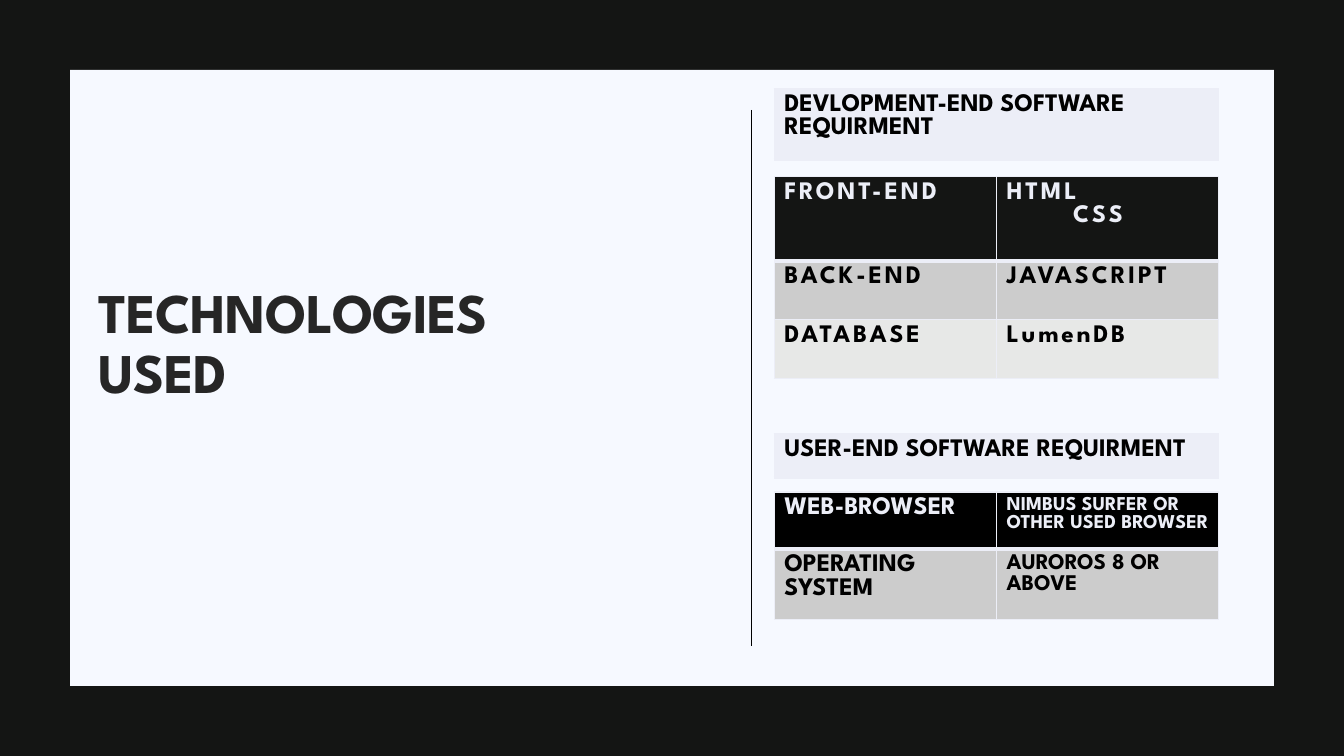
from pptx import Presentation
from pptx.dml.color import RGBColor
from pptx.enum.shapes import MSO_CONNECTOR as CONNECTOR, MSO_SHAPE as SHAPE
from pptx.enum.text import MSO_ANCHOR as ANCHOR
from pptx.oxml.ns import qn
from pptx.util import Pt
from lxml.etree import SubElement, Element

FONT = "League Spartan"
COLORS = {"dark": "141514", "panel": "F6F9FF", "pale": "ECEEF7", "title": "262626",
          "black": "000000", "gray": "CCCCCC", "light": "E7E8E7"}
TABLE_LEFT, TABLE_WIDTH = 553, 317.6


def color(name):
    return RGBColor.from_string(COLORS[name])


def add_rectangle(slide, left, top, width, height, fill):
    shape = slide.shapes.add_shape(SHAPE.RECTANGLE, Pt(left), Pt(top), Pt(width), Pt(height))
    shape.shadow.inherit = False
    shape.fill.solid()
    shape.fill.fore_color.rgb = color(fill)
    shape.line.fill.background()


def add_divider(slide, x, top, bottom):
    line = slide.shapes.add_connector(CONNECTOR.STRAIGHT, Pt(x), Pt(top), Pt(x), Pt(bottom))
    line.line.color.rgb = color("black")
    line.line.width = Pt(1)
    SubElement(line._element.spPr, qn("a:effectLst"))


def add_run(paragraph, text, size, text_color, spacing=0):
    run = paragraph.add_run()
    run.text = text
    run.font.name = FONT
    run.font.size = Pt(size)
    run.font.bold = True
    run.font.color.rgb = color(text_color)
    if spacing:
        run._r.get_or_add_rPr().set("spc", str(int(spacing * 100)))


def add_title(slide, lines):
    box = slide.shapes.add_textbox(Pt(63.4), Pt(99.4), Pt(442), Pt(294.5))
    frame = box.text_frame
    frame.word_wrap = True
    frame.vertical_anchor = ANCHOR.MIDDLE
    paragraph = frame.paragraphs[0]
    paragraph.line_spacing = 0.9
    for index, line in enumerate(lines):
        if index:
            paragraph.add_line_break()
        add_run(paragraph, line, 40, "title", -0.5)


def set_borders(cell, bottom_width):
    properties = cell._tc.get_or_add_tcPr()
    widths = {"a:lnL": 1, "a:lnR": 1, "a:lnT": 1, "a:lnB": bottom_width}
    for index, (tag, width) in enumerate(widths.items()):
        border = Element(qn(tag), w=str(Pt(width)))
        fill = SubElement(border, qn("a:solidFill"))
        SubElement(fill, qn("a:srgbClr"), val=COLORS["pale"])
        properties.insert(index, border)


def add_table(slide, top, heights, rows, spacing=0):
    """Each row is (fill, text colour, cells); each cell is (size, lines)."""
    columns = len(rows[0][2])
    table = slide.shapes.add_table(len(rows), columns, Pt(TABLE_LEFT), Pt(top),
                                   Pt(TABLE_WIDTH), Pt(sum(heights))).table
    table.first_row = False
    table.horz_banding = False
    for column in table.columns:
        column.width = Pt(TABLE_WIDTH / columns)
    for row_index, (fill, text_color, cells) in enumerate(rows):
        table.rows[row_index].height = Pt(heights[row_index])
        for column_index, (size, lines) in enumerate(cells):
            cell = table.cell(row_index, column_index)
            cell.fill.solid()
            cell.fill.fore_color.rgb = color(fill)
            set_borders(cell, 1 if row_index else 3)
            frame = cell.text_frame
            for line_index, (text, indent) in enumerate(lines):
                paragraph = frame.add_paragraph() if line_index else frame.paragraphs[0]
                if indent:
                    paragraph._p.get_or_add_pPr().set("marL", str(Pt(indent)))
                add_run(paragraph, text, size, text_color, spacing)


def entry(text, size=18):
    return size, [(text, 0)]


def main():
    presentation = Presentation()
    presentation.slide_width, presentation.slide_height = Pt(960), Pt(540)
    slide = presentation.slides.add_slide(presentation.slide_layouts[6])
    slide.background.fill.solid()
    slide.background.fill.fore_color.rgb = color("pale")

    # Frame, panel and divider
    add_rectangle(slide, 0, 0, 960, 540, "dark")
    add_rectangle(slide, 50, 50, 860, 440, "panel")
    add_divider(slide, 537, 78.5, 461.5)

    add_title(slide, ["TECHNOLOGIES", "USED"])

    # Development requirements
    add_table(slide, 63.4, [42.4],
              [("pale", "black", [entry("DEVLOPMENT-END SOFTWARE REQUIRMENT")])])
    add_table(slide, 126.2, [60, 42, 42], [
        ("dark", "pale", [entry("FRONT-END"), (18, [("HTML", 0), ("CSS", 47.5)])]),
        ("gray", "black", [entry("BACK-END"), entry("JAVASCRIPT")]),
        ("light", "black", [entry("DATABASE"), entry("LumenDB")]),
    ], spacing=2)

    # User requirements
    add_table(slide, 310, [31],
              [("pale", "black", [entry("USER-END SOFTWARE REQUIRMENT")])])
    add_table(slide, 351.4, [37.4, 44.6], [
        ("black", "pale", [entry("WEB-BROWSER"),
                           entry("NIMBUS SURFER OR OTHER USED BROWSER", 14)]),
        ("gray", "black", [entry("OPERATING SYSTEM"), entry("AUROROS 8 OR ABOVE", 16)]),
    ])

    presentation.save("out.pptx")


if __name__ == "__main__":
    main()
